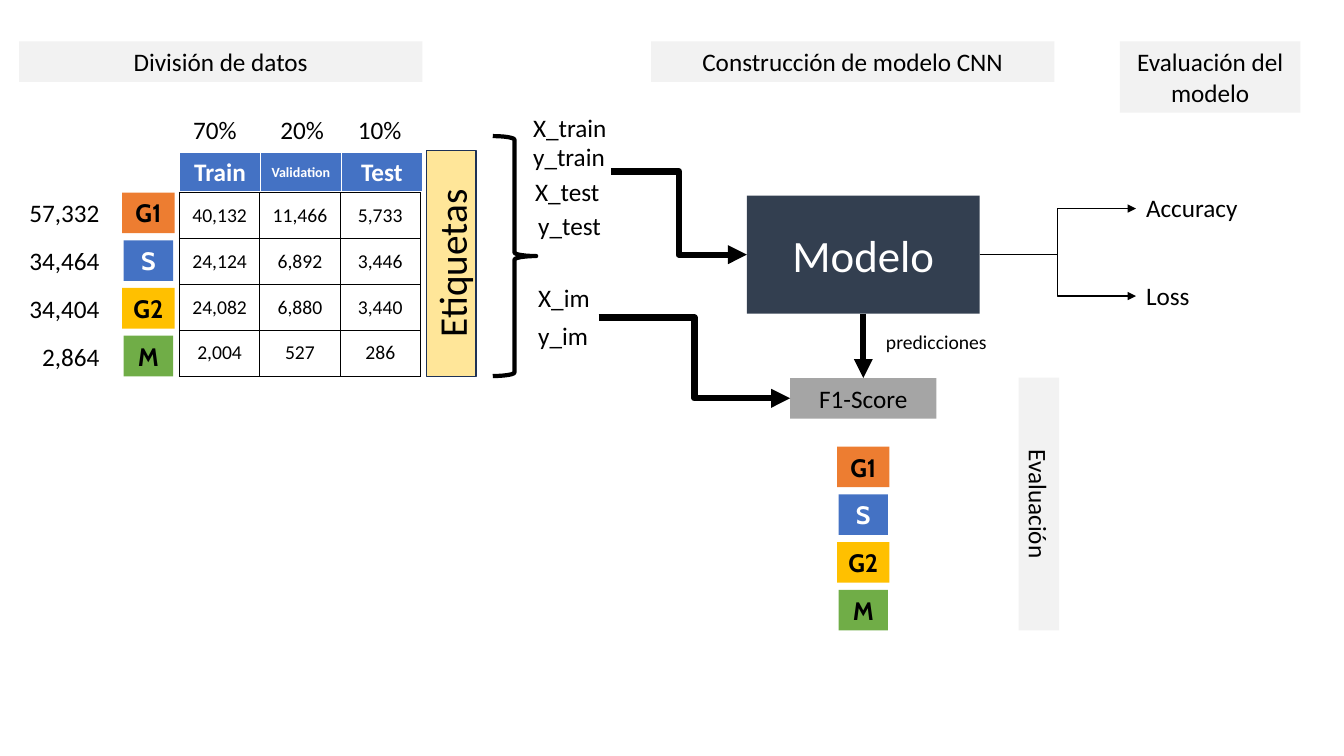
from lxml import etree
from pptx import Presentation
from pptx.dml.color import RGBColor
from pptx.enum.shapes import MSO_CONNECTOR, MSO_SHAPE
from pptx.enum.text import MSO_ANCHOR, PP_ALIGN
from pptx.oxml.ns import qn
from pptx.util import Pt

RECT, BRACE = MSO_SHAPE.RECTANGLE, MSO_SHAPE.RIGHT_BRACE
STRAIGHT, ELBOW = MSO_CONNECTOR.STRAIGHT, MSO_CONNECTOR.ELBOW
LEFT, CENTER, RIGHT = PP_ALIGN.LEFT, PP_ALIGN.CENTER, PP_ALIGN.RIGHT
MIDDLE = MSO_ANCHOR.MIDDLE

BLACK, WHITE, BLUE, PALE = "000000", "FFFFFF", "4472C4", "F2F2F2"
BAR_HEIGHT = 29
GROUP_STEP = 34.1
GROUPS = [("G1", "ED7D31", BLACK, 37.4), ("S", BLUE, WHITE, 35.3),
          ("G2", "FFC000", BLACK, 37.4), ("M", "70AD47", BLACK, 35.3)]
COUNTS = ["57,332", "34,464", "34,404", "2,864"]
SPLITS = [("Train", 18), ("Validation", 10), ("Test", 18)]
SPLIT_COUNTS = [("40,132", "11,466", "5,733"), ("24,124", "6,892", "3,446"),
                ("24,082", "6,880", "3,440"), ("2,004", "527", "286")]


def rgb(value):
    """Turn a hex string into a colour."""
    return RGBColor.from_string(value)


def write(frame, text, size=18, color=BLACK, font="Calibri", bold=False, align=CENTER):
    """Write one formatted paragraph into a text frame."""
    paragraph = frame.paragraphs[0]
    paragraph.alignment = align
    run = paragraph.add_run()
    run.text = text
    run.font.size, run.font.name, run.font.bold = Pt(size), font, bold
    run.font.color.rgb = rgb(color)


def fit(frame):
    """Wrap and centre a text frame vertically, without side insets."""
    frame.word_wrap = True
    frame.vertical_anchor = MIDDLE
    frame.margin_left = frame.margin_right = 0


def block(slide, left, top, width, height, fill, text, **style):
    """Draw a filled rectangle with centred text."""
    rect = slide.shapes.add_shape(RECT, Pt(left), Pt(top), Pt(width), Pt(height))
    rect.shadow.inherit = False
    rect.fill.solid()
    rect.fill.fore_color.rgb = rgb(fill)
    rect.line.fill.background()
    fit(rect.text_frame)
    write(rect.text_frame, text, **style)
    return rect


def label(slide, left, top, width, text, **style):
    """Place a single line of text on the slide."""
    frame = slide.shapes.add_textbox(Pt(left), Pt(top), Pt(width), Pt(BAR_HEIGHT)).text_frame
    fit(frame)
    write(frame, text, **{"align": LEFT, **style})


def arrow(slide, kind, start, end, weight):
    """Draw a black connector that ends in a triangle."""
    connector = slide.shapes.add_connector(kind, *map(Pt, start + end))
    connector.line.width = Pt(weight)
    connector.line.color.rgb = rgb(BLACK)
    etree.SubElement(connector.line._get_or_add_ln(), qn("a:tailEnd"), type="triangle")
    etree.SubElement(connector._element.spPr, qn("a:effectLst"))
    return connector


def set_cell(cell, text, fill, border, bottom, **style):
    """Fill, border and write one table cell."""
    properties = cell._tc.get_or_add_tcPr()
    for side, weight in (("L", 1), ("R", 1), ("T", 1), ("B", bottom)):
        line = etree.SubElement(properties, qn("a:ln" + side), w=str(Pt(weight)))
        solid = etree.SubElement(line, qn("a:solidFill"))
        etree.SubElement(solid, qn("a:srgbClr"), val=border)
    cell.fill.solid()
    cell.fill.fore_color.rgb = rgb(fill)
    cell.vertical_anchor = MIDDLE
    cell.margin_left = cell.margin_right = 0
    write(cell.text_frame, text, **style)


def grid(slide, left, top, column_width, row_height, rows):
    """Add an unbanded table with three equal columns."""
    table = slide.shapes.add_table(rows, 3, Pt(left), Pt(top), Pt(3 * column_width),
                                   Pt(rows * row_height)).table
    table.first_row = table.horz_banding = False
    for column in table.columns:
        column.width = Pt(column_width)
    for row in table.rows:
        row.height = Pt(row_height)
    return table


def groups(slide, center, top):
    """Stack the four coloured group tags around a centre line."""
    for i, (name, fill, color, width) in enumerate(GROUPS):
        block(slide, center - width / 2, top + i * GROUP_STEP, width, BAR_HEIGHT, fill,
              name, color=color, font="Cabin", bold=True)


def data_split(slide, left, top):
    """Draw the data division region with its tables, tags and labels strip."""
    block(slide, left, top, 288, BAR_HEIGHT, PALE, "División de datos")
    for x, share in zip((124.2, 186.5, 242), ("70%", "20%", "10%")):
        label(slide, left + x, top + 48.5, 40, share)
    body_top = top + 108
    for i, count in enumerate(COUNTS):
        label(slide, left, body_top + i * GROUP_STEP, 57.4, count, align=RIGHT)
    groups(slide, left + 92.3, body_top)
    header = grid(slide, left + 114.5, top + 79.2, 57.8, 28.8, 1)
    for column, (split, size) in enumerate(SPLITS):
        set_cell(header.cell(0, column), split, BLUE, WHITE, 3,
                 size=size, color=WHITE, bold=True)
    body = grid(slide, left + 114.5, body_top, 57.4, 32.8, len(SPLIT_COUNTS))
    for i, counts in enumerate(SPLIT_COUNTS):
        for column, count in enumerate(counts):
            set_cell(body.cell(i, column), count, WHITE, BLACK, 1, size=14)
    strip = block(slide, left + 291, top + 78, 35.3, 161.3, "FFE699", "Etiquetas", size=28)
    strip.line.color.rgb = rgb("1E3256")
    strip.line.width = Pt(1)
    strip.text_frame._txBody.bodyPr.set("vert", "vert270")


def variables(slide, left, top):
    """Draw the brace and the variables that come out of the split."""
    brace = slide.shapes.add_shape(BRACE, Pt(left), Pt(top), Pt(31), Pt(171.4))
    brace.shadow.inherit = False
    brace.fill.background()
    brace.line.color.rgb = rgb(BLACK)
    brace.line.width = Pt(3)
    for name, x, y in (("X_train", 28.8, -20.9), ("y_train", 28.8, 0), ("X_test", 30.2, 25.2),
                       ("y_test", 32.4, 49), ("X_im", 32.4, 100.8), ("y_im", 32.4, 128.2)):
        label(slide, left + x, top + y, 65, name)


def model(slide, left, top):
    """Draw the model region with its inputs, F1 score and group tags."""
    block(slide, left, top, 288, BAR_HEIGHT, PALE, "Construcción de modelo CNN")
    box_left, box_top, box_width, box_height = left + 68.4, top + 110.2, 166.3, 84.4
    center, box_middle = box_left + box_width / 2, box_top + box_height / 2
    network = block(slide, box_left, box_top, box_width, box_height, "333F50", "Modelo",
                    size=32, color=WHITE)
    score_left, score_top = center - 52.2, top + 240.5
    score = block(slide, score_left, score_top, 104.4, BAR_HEIGHT, "A5A5A5", "F1-Score")
    arrow(slide, ELBOW, (left - 28.8, top + 92.9), (box_left, box_middle), 4.5)
    arrow(slide, ELBOW, (left - 37.4, top + 197.3),
          (score_left, score_top + BAR_HEIGHT / 2), 4.5)
    predictions = arrow(slide, STRAIGHT, (center, box_top + box_height),
                        (center, score_top), 4.5)
    predictions.begin_connect(network, 2)
    predictions.end_connect(score, 0)
    label(slide, center + 16.2, top + 200, 90, "predicciones", size=14)
    groups(slide, center, top + 289.5)
    for name, y in (("Accuracy", 119.5), ("Loss", 182)):
        arrow(slide, ELBOW, (box_left + box_width, box_middle), (left + 346.3, top + y), 1)
        label(slide, left + 353.5, top + y - 15, 90, name)


def evaluation(slide, left, top):
    """Draw the evaluation heading and the turned evaluation bar."""
    block(slide, left, top, 128.9, 51, PALE, "Evaluación del modelo")
    bar = block(slide, left - 148.3, top + 316, 180.7, BAR_HEIGHT, PALE, "Evaluación")
    bar.rotation = 90


def main():
    """Build the slide and save it."""
    deck = Presentation()
    deck.slide_width, deck.slide_height = Pt(960), Pt(540)
    slide = deck.slides.add_slide(deck.slide_layouts[6])
    data_split(slide, 13.7, 29.5)
    variables(slide, 352, 97.2)
    model(slide, 465.1, 29.5)
    evaluation(slide, 800, 29.5)
    deck.save("out.pptx")


if __name__ == "__main__":
    main()
